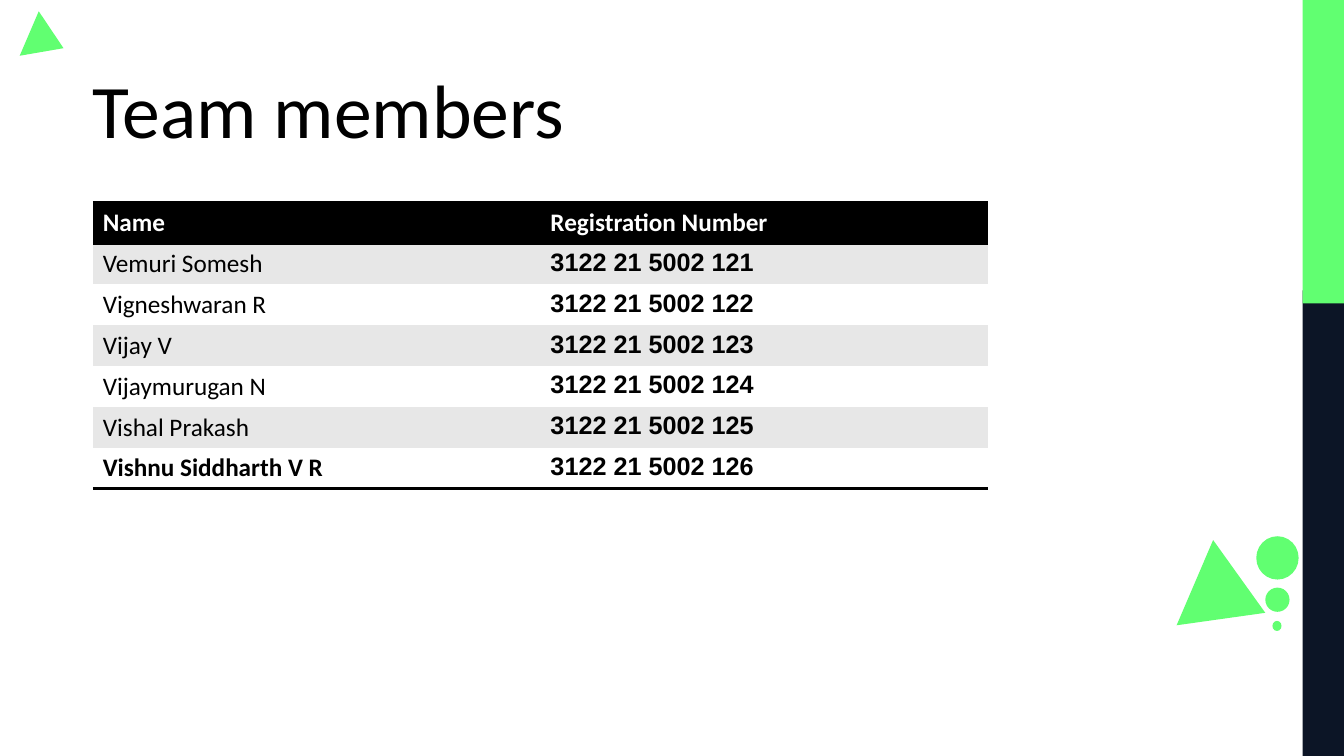
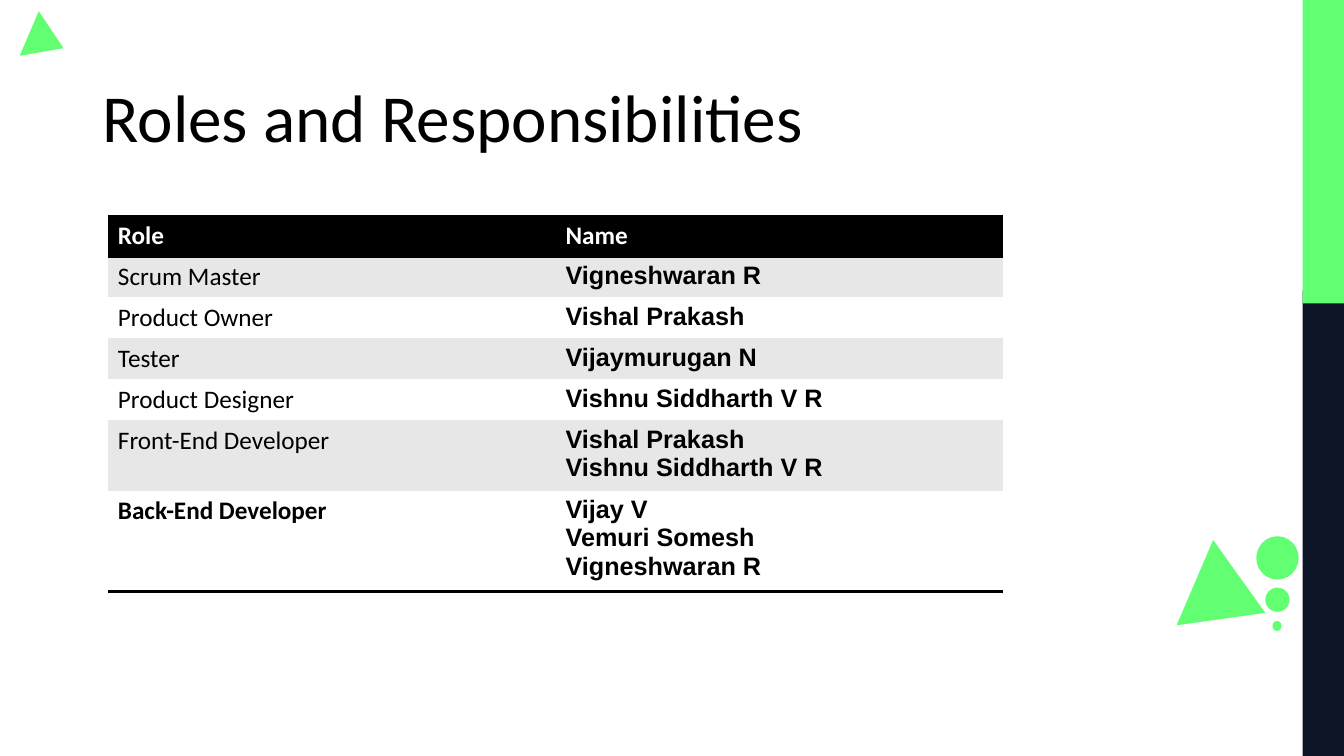
from lxml import etree
from pptx import Presentation
from pptx.dml.color import RGBColor
from pptx.enum.shapes import MSO_SHAPE as SHAPE
from pptx.enum.text import MSO_ANCHOR as ANCHOR
from pptx.oxml.ns import qn
from pptx.util import Inches, Pt

GREEN, NAVY, BLACK, WHITE, GRAY = "61FF71", "0C1526", "000000", "FFFFFF", "E7E7E7"
NO_STYLE = "{2D5ABB26-0587-4C30-8999-92F81FD0307C}"
ROW_H = Inches(2.84) // 7
COL_W = Inches(4.44)

DECOR = [
    (SHAPE.RECTANGLE, 12.92, 2.88, 0.42, 4.62, 0, NAVY),
    (SHAPE.RECTANGLE, 12.92, 0, 0.42, 3.01, 0, GREEN),
    (SHAPE.OVAL, 12.46, 5.32, 0.42, 0.43, 0, GREEN),
    (SHAPE.OVAL, 12.55, 5.83, 0.24, 0.24, 0, GREEN),
    (SHAPE.OVAL, 12.62, 6.16, 0.09, 0.1, 0, GREEN),
    (SHAPE.ISOSCELES_TRIANGLE, 0.22, 0.22, 0.48, 0.37, 113.2, GREEN),
    (SHAPE.ISOSCELES_TRIANGLE, 11.74, 5.55, 0.92, 0.76, 113.2, GREEN),
]

SLIDES = [
    ("Team members", 54, (0.82, 0.41), (0.92, 2.01), [
        ("Name", "Registration Number"),
        ("Vemuri Somesh", "3122 21 5002 121"),
        ("Vigneshwaran R", "3122 21 5002 122"),
        ("Vijay V", "3122 21 5002 123"),
        ("Vijaymurugan N", "3122 21 5002 124"),
        ("Vishal Prakash", "3122 21 5002 125"),
        ("Vishnu Siddharth V R", "3122 21 5002 126"),
    ]),
    ("Roles and Responsibilities", 48, (0.92, 0.47), (1.07, 2.14), [
        ("Role", "Name"),
        ("Scrum Master", "Vigneshwaran R"),
        ("Product Owner", "Vishal Prakash"),
        ("Tester", "Vijaymurugan N"),
        ("Product Designer", "Vishnu Siddharth V R"),
        ("Front-End Developer", "Vishal Prakash\nVishnu Siddharth V R"),
        ("Back-End Developer", "Vijay V\nVemuri Somesh\nVigneshwaran R"),
    ]),
]


def rgb(color):
    return RGBColor.from_string(color)


def add_border(cell, side):
    ln = etree.SubElement(cell._tc.get_or_add_tcPr(), qn(f"a:{side}"), w=str(Pt(2)))
    fill = etree.SubElement(ln, qn("a:solidFill"))
    etree.SubElement(fill, qn("a:srgbClr"), val=BLACK)


prs = Presentation()
prs.slide_width, prs.slide_height = Inches(13.33), Inches(7.5)

for title, size, title_at, table_at, rows in SLIDES:
    s = prs.slides.add_slide(prs.slide_layouts[6])

    for shape, left, top, width, height, angle, color in DECOR:
        sp = s.shapes.add_shape(shape, Inches(left), Inches(top), Inches(width), Inches(height))
        sp.rotation = angle
        sp.shadow.inherit = False
        sp.fill.solid()
        sp.fill.fore_color.rgb = rgb(color)
        sp.line.fill.background()

    left, top = title_at
    tf = s.shapes.add_textbox(Inches(left), Inches(top), Inches(11.5), Inches(1.45)).text_frame
    tf.word_wrap = True
    tf.vertical_anchor = ANCHOR.MIDDLE
    p = tf.paragraphs[0]
    p.text = title
    p.line_spacing = 0.9
    p.font.name, p.font.size = "Calibri", Pt(size)
    p.font.color.rgb = rgb(BLACK)

    heights = [max(ROW_H, Inches(0.1 + 0.28 * (names.count("\n") + 1))) for _, names in rows]
    left, top = table_at
    frame = s.shapes.add_table(len(rows), 2, Inches(left), Inches(top), COL_W * 2, sum(heights))
    table = frame.table
    table._tbl.tblPr.find(qn("a:tableStyleId")).text = NO_STYLE
    for col in table.columns:
        col.width = COL_W

    last = len(rows) - 1
    for i, row in enumerate(rows):
        table.rows[i].height = heights[i]
        for j, text in enumerate(row):
            cell = table.cell(i, j)
            if i == 0:
                add_border(cell, "lnT")
            if i in (0, last):
                add_border(cell, "lnB")
            cell.fill.solid()
            cell.fill.fore_color.rgb = rgb(BLACK if i == 0 else GRAY if i % 2 else WHITE)
            cell.text = text
            for p in cell.text_frame.paragraphs:
                p.font.name = "Arial" if i and j else "Calibri"
                p.font.size = Pt(18)
                p.font.bold = j == 1 or i in (0, last)
                p.font.color.rgb = rgb(WHITE if i == 0 else BLACK)

prs.save("out.pptx")
